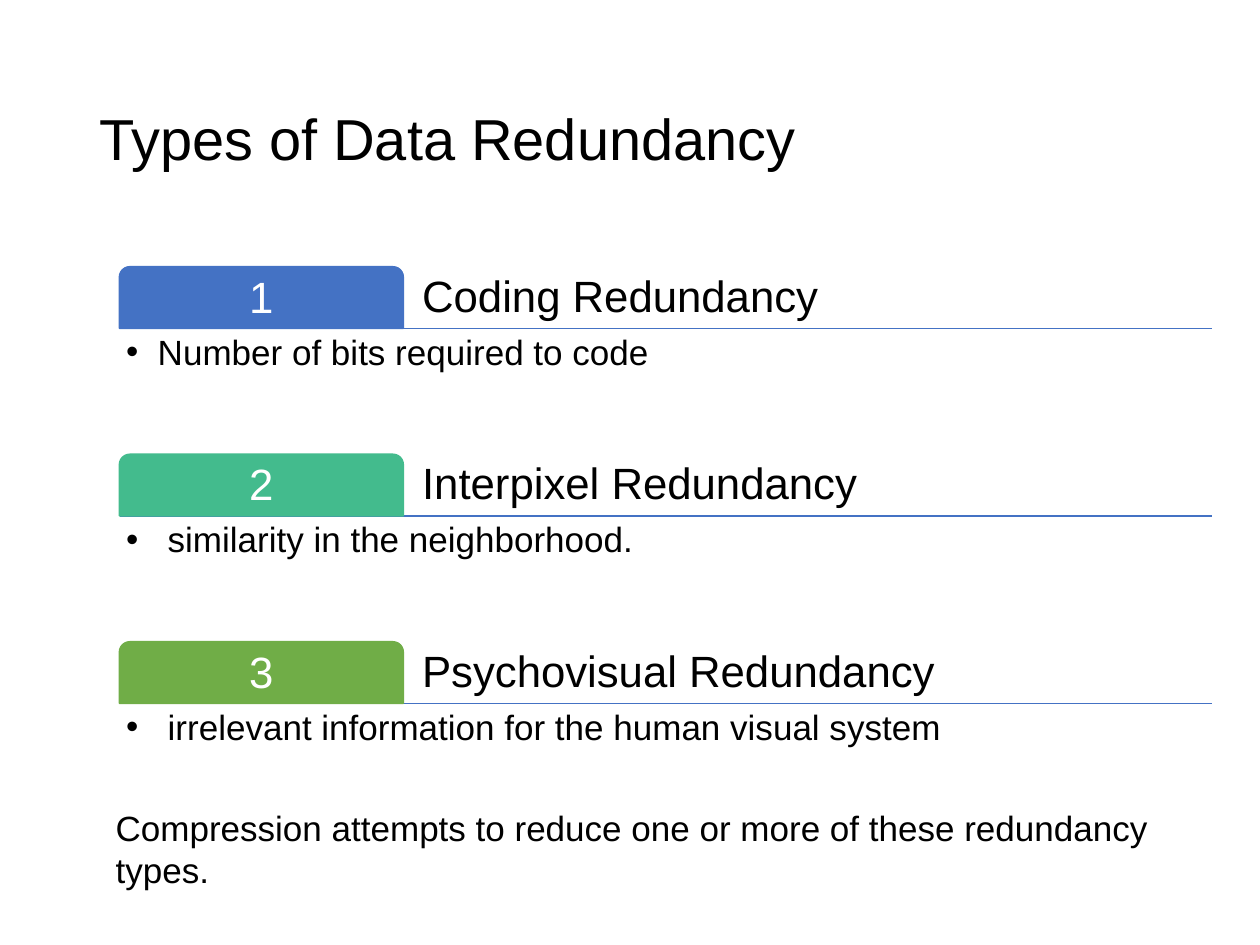
from dataclasses import dataclass

from lxml.etree import SubElement
from pptx import Presentation
from pptx.dml.color import RGBColor
from pptx.enum.shapes import MSO_CONNECTOR as Connector, MSO_SHAPE as Preset
from pptx.enum.text import MSO_ANCHOR as Anchor, MSO_AUTO_SIZE as AutoSize, PP_ALIGN as Align
from pptx.oxml.ns import qn
from pptx.util import Cm, Pt


@dataclass(frozen=True)
class Theme:
    """Fonts, colours and type sizes of the slide."""
    font: str = "Arial"
    text: str = "000000"
    badge_text: str = "FFFFFF"
    rule: str = "4472C4"
    badges: tuple = ("4472C4", "43BB8D", "70AD47")
    title_size: int = 33
    heading_size: int = 25
    body_size: int = 20


@dataclass(frozen=True)
class Box:
    """A rectangle in centimetres."""
    left: float
    top: float
    width: float
    height: float

    def lengths(self):
        """Return the four sides as lengths."""
        return Cm(self.left), Cm(self.top), Cm(self.width), Cm(self.height)


THEME = Theme()
COMPARISON_LAYOUT = 4
INSET = 0.13
WORD_GAP = 0.25
BULLET_INDENT = 0.64
ROW_PITCH = 3.78
BADGE_WIDTH = 5.72
HEADING_HEIGHT = 1.24
ROWS = (
    ("Coding Redundancy", "Number of bits required to code", 0),
    ("Interpixel Redundancy", "similarity in the neighborhood.", 0.2),
    ("Psychovisual Redundancy", "irrelevant information for the human visual system", 0.2),
)


def write(shape, text, *, size, color=THEME.text, align=Align.LEFT, anchor=Anchor.TOP,
          insets=(INSET,) * 4, spacing=0.9, bullet=False, text_shift=0):
    """Put one formatted paragraph into a shape."""
    frame = shape.text_frame
    frame.word_wrap = True
    frame.auto_size = AutoSize.NONE
    frame.vertical_anchor = anchor
    frame.margin_left, frame.margin_top, frame.margin_right, frame.margin_bottom = map(Cm, insets)
    paragraph = frame.paragraphs[0]
    paragraph.alignment = align
    paragraph.line_spacing = spacing
    paragraph.space_before = paragraph.space_after = Pt(0)
    run = paragraph.add_run()
    run.text = text
    run.font.name, run.font.size, run.font.bold = THEME.font, Pt(size), False
    run.font.color.rgb = RGBColor.from_string(color)
    properties = paragraph._p.get_or_add_pPr()
    properties.set("marL", str(Cm(BULLET_INDENT + text_shift) if bullet else 0))
    properties.set("indent", str(-Cm(BULLET_INDENT + text_shift) if bullet else 0))
    if bullet:
        SubElement(properties, qn("a:buFont"), typeface=THEME.font)
        SubElement(properties, qn("a:buChar"), char="•")
    else:
        SubElement(properties, qn("a:buNone"))


def place(shape, box):
    """Move a placeholder into a box."""
    shape.left, shape.top, shape.width, shape.height = box.lengths()


def add_title(slide, box):
    """Fill the title placeholder."""
    title = slide.shapes.title
    place(title, box)
    write(title, "Types of Data Redundancy", size=THEME.title_size, anchor=Anchor.MIDDLE,
          insets=(0.25, INSET, 0.25, INSET))


def add_rule(slide, box):
    """Draw the line under a heading."""
    y = Cm(box.top + HEADING_HEIGHT)
    rule = slide.shapes.add_connector(Connector.STRAIGHT, Cm(box.left), y,
                                      Cm(box.left + box.width), y)
    rule.line.color.rgb = RGBColor.from_string(THEME.rule)
    rule.line.width = Pt(1)
    SubElement(rule._element.spPr, qn("a:effectLst"))


def add_badge(slide, box, number, color):
    """Draw a numbered tab with rounded top corners."""
    badge = slide.shapes.add_shape(Preset.ROUND_2_SAME_RECTANGLE, *box.lengths())
    badge.shadow.inherit = False
    badge.adjustments[0], badge.adjustments[1] = 0.167, 0
    badge.fill.solid()
    badge.fill.fore_color.rgb = badge.line.color.rgb = RGBColor.from_string(color)
    badge.line.width = Pt(1)
    write(badge, str(number), size=THEME.heading_size, color=THEME.badge_text,
          align=Align.CENTER, anchor=Anchor.MIDDLE)


def add_row(slide, box, body, number, color, heading, detail, text_shift):
    """Build one redundancy type: tab, heading, rule and bullet."""
    add_rule(slide, box)
    add_badge(slide, Box(box.left, box.top, BADGE_WIDTH, HEADING_HEIGHT), number, color)
    heading_box = Box(box.left + BADGE_WIDTH, box.top, box.width - BADGE_WIDTH, HEADING_HEIGHT)
    write(slide.shapes.add_textbox(*heading_box.lengths()), heading, size=THEME.heading_size,
          anchor=Anchor.BOTTOM, insets=(INSET + WORD_GAP, INSET, INSET, INSET))
    place(body, Box(box.left, box.top + HEADING_HEIGHT, box.width, box.height - HEADING_HEIGHT))
    write(body, detail, size=THEME.body_size, bullet=True, text_shift=text_shift)


def add_conclusion(body, box):
    """Fill the closing sentence."""
    place(body, box)
    write(body, "Compression attempts to reduce one or more of these redundancy types.",
          size=THEME.body_size, insets=(0.25, INSET, 0.25, INSET), spacing=1.0)


def main():
    """Build and save the presentation."""
    presentation = Presentation()
    presentation.slide_width, presentation.slide_height = Cm(25.4), Cm(19.05)
    slide = presentation.slides.add_slide(presentation.slide_layouts[COMPARISON_LAYOUT])
    *row_bodies, conclusion = [slide.placeholders[index] for index in range(1, 5)]
    add_title(slide, Box(1.75, 1.02, 21.9, 3.68))
    for index, (row, body, color) in enumerate(zip(ROWS, row_bodies, THEME.badges)):
        box = Box(2.41, 5.38 + index * ROW_PITCH, 22.02, 3.73)
        add_row(slide, box, body, index + 1, color, *row)
    add_conclusion(conclusion, Box(2.08, 16.13, 22.35, 1.96))
    presentation.save("out.pptx")


if __name__ == "__main__":
    main()
